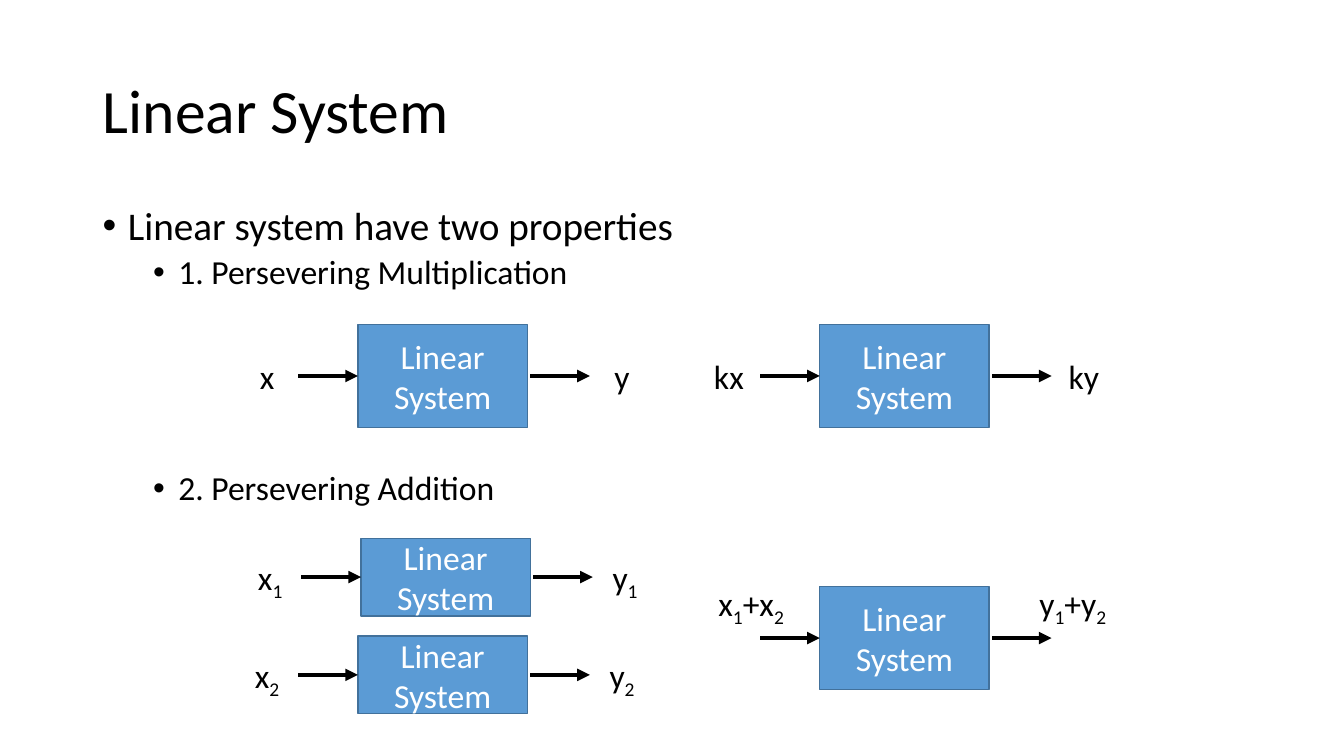
from dataclasses import dataclass
from itertools import groupby

from lxml import etree
from pptx import Presentation
from pptx.dml.color import RGBColor
from pptx.enum.shapes import MSO_CONNECTOR as Connector, MSO_SHAPE as Shape
from pptx.enum.text import MSO_ANCHOR as Anchor, PP_ALIGN as Align
from pptx.oxml.ns import qn
from pptx.util import Inches, Pt


@dataclass(frozen=True)
class Theme:
    font: str = "Calibri"
    ink: RGBColor = RGBColor(0, 0, 0)
    box_fill: RGBColor = RGBColor(0x5B, 0x9B, 0xD5)
    box_line: RGBColor = RGBColor(0x42, 0x71, 0x9B)
    box_text: RGBColor = RGBColor(255, 255, 255)
    title_size: int = 44
    lead_size: int = 28
    body_size: int = 24


THEME = Theme()
BOX_WIDTH = 1.68
ARROW_LENGTH = 0.59
OUTPUT_GAP = 0.03
LABEL_HEIGHT = 0.5


def set_font(paragraph, size, color=THEME.ink):
    paragraph.font.name = THEME.font
    paragraph.font.size = Pt(size)
    paragraph.font.color.rgb = color


def add_title(slide, text):
    title = slide.shapes.title
    title.left, title.top = Inches(0.92), Inches(0.4)
    title.width, title.height = Inches(11.5), Inches(1.45)
    title.text_frame.vertical_anchor = Anchor.MIDDLE
    title.text_frame.text = text
    paragraph = title.text_frame.paragraphs[0]
    paragraph.alignment = Align.LEFT
    paragraph.line_spacing = 0.9
    set_font(paragraph, THEME.title_size)


def add_bullets(slide, items):
    box = slide.shapes.add_textbox(Inches(0.92), Inches(2), Inches(11.5), Inches(4.76))
    frame = box.text_frame
    frame.word_wrap = True
    frame.text = "\n".join(text for text, level, size, space in items)
    for paragraph, (text, level, size, space) in zip(frame.paragraphs, items):
        paragraph.level = level
        paragraph.line_spacing = 0.9
        paragraph.space_before = Pt(space)
        properties = paragraph._p.get_or_add_pPr()
        properties.set("marL", str(Inches(0.25 + 0.5 * level)))
        properties.set("indent", str(Inches(-0.25)))
        etree.SubElement(properties, qn("a:buFont"), typeface="Arial")
        etree.SubElement(properties, qn("a:buChar"), char="•")
        set_font(paragraph, size)


def add_box(slide, left, top, height):
    box = slide.shapes.add_shape(
        Shape.RECTANGLE, Inches(left), Inches(top), Inches(BOX_WIDTH), Inches(height))
    box.shadow.inherit = False
    box.fill.solid()
    box.fill.fore_color.rgb = THEME.box_fill
    box.line.color.rgb = THEME.box_line
    box.line.width = Pt(1)
    frame = box.text_frame
    frame.vertical_anchor = Anchor.MIDDLE
    frame.text = "Linear\nSystem"
    for paragraph in frame.paragraphs:
        paragraph.alignment = Align.CENTER
        set_font(paragraph, THEME.body_size, THEME.box_text)
    return box


def add_arrow(slide, left, middle):
    arrow = slide.shapes.add_connector(
        Connector.STRAIGHT, Inches(left), Inches(middle),
        Inches(left + ARROW_LENGTH), Inches(middle))
    arrow.line.color.rgb = THEME.ink
    arrow.line.width = Pt(3)
    etree.SubElement(arrow.line._get_or_add_ln(), qn("a:tailEnd"), type="triangle")
    etree.SubElement(arrow._element.spPr, qn("a:effectLst"))
    return arrow


def add_label(slide, text, center, middle, width):
    label = slide.shapes.add_textbox(
        Inches(center - width / 2), Inches(middle - LABEL_HEIGHT / 2),
        Inches(width), Inches(LABEL_HEIGHT))
    label.text_frame.word_wrap = True
    paragraph = label.text_frame.paragraphs[0]
    paragraph.alignment = Align.CENTER
    set_font(paragraph, THEME.body_size)
    for is_subscript, characters in groupby(text, str.isdigit):
        run = paragraph.add_run()
        run.text = "".join(characters)
        if is_subscript:
            run._r.get_or_add_rPr().set("baseline", "-25000")


def add_system(slide, source, result, left, top, height,
               label_width=0.64, label_rise=0, source_offset=0.9, result_offset=0.94):
    middle = top + height / 2
    right = left + BOX_WIDTH
    box = add_box(slide, left, top, height)
    add_arrow(slide, left - ARROW_LENGTH, middle).end_connect(box, 1)
    add_arrow(slide, right + OUTPUT_GAP, middle)
    label_middle = middle - label_rise
    add_label(slide, source, left - source_offset, label_middle, label_width)
    add_label(slide, result, right + result_offset, label_middle, label_width)


def main():
    presentation = Presentation()
    presentation.slide_width, presentation.slide_height = Inches(13.33), Inches(7.5)
    slide = presentation.slides.add_slide(presentation.slide_layouts[5])
    add_title(slide, "Linear System")
    add_bullets(slide, [
        ("Linear system have two properties", 0, THEME.lead_size, 0),
        ("1. Persevering Multiplication", 1, THEME.body_size, 5),
        ("2. Persevering Addition", 1, THEME.body_size, 128),
    ])
    add_system(slide, "x", "y", 3.55, 3.22, 1.02)
    add_system(slide, "kx", "ky", 8.13, 3.22, 1.02)
    add_system(slide, "x1", "y1", 3.58, 5.34, 0.77)
    add_system(slide, "x2", "y2", 3.55, 6.31, 0.77)
    add_system(slide, "x1+x2", "y1+y2", 8.13, 5.82, 1.02, label_width=1.27,
               label_rise=0.35, source_offset=0.68, result_offset=0.83)
    presentation.save("out.pptx")


if __name__ == "__main__":
    main()
